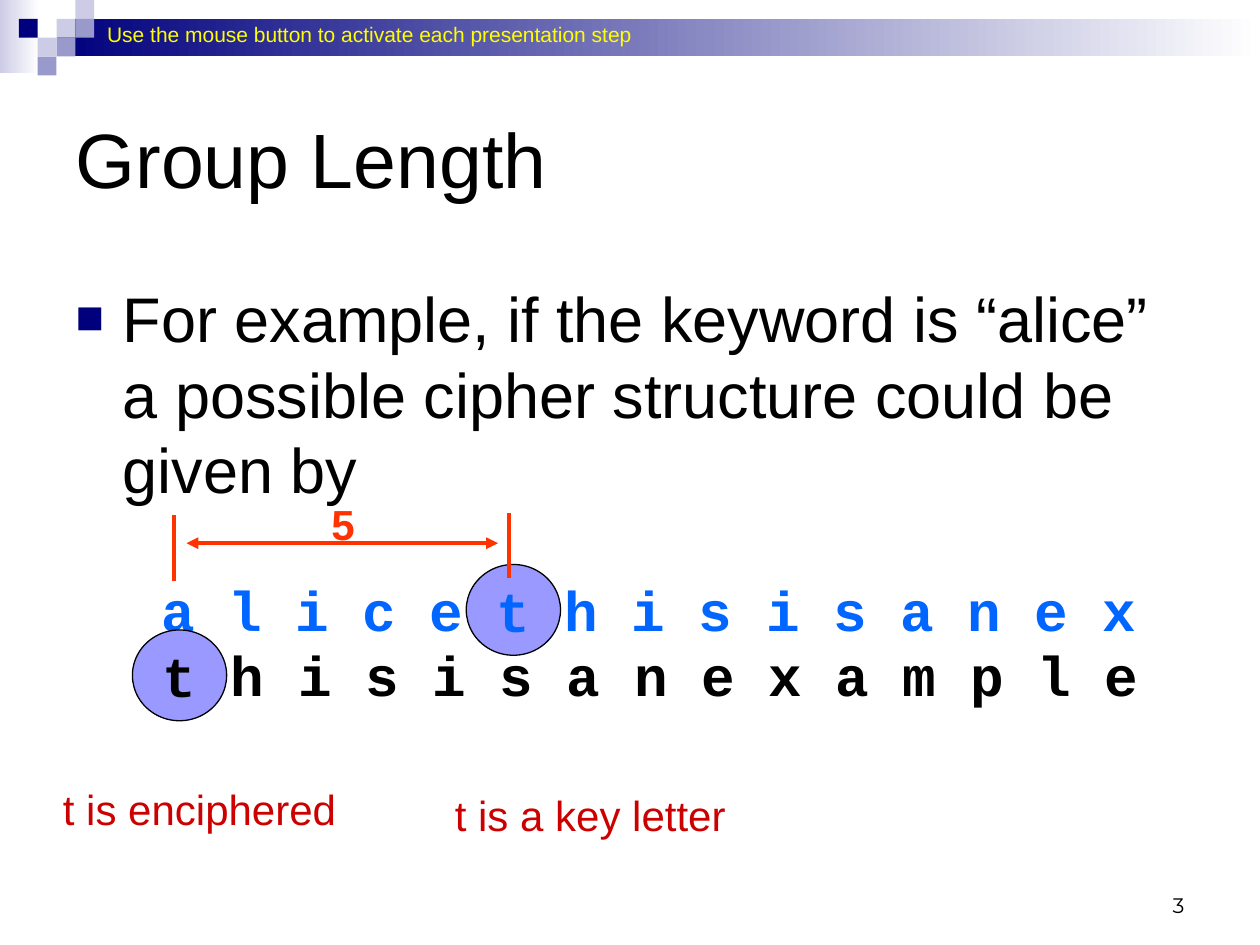
from lxml.etree import SubElement
from pptx import Presentation
from pptx.dml.color import RGBColor
from pptx.enum.shapes import MSO_CONNECTOR, MSO_SHAPE
from pptx.enum.text import MSO_ANCHOR as Anchor, MSO_AUTO_SIZE as AutoSize, PP_ALIGN as Align
from pptx.oxml.ns import qn
from pptx.util import Cm, Pt

NAVY, LILAC, LAVENDER, WHITE, BLACK = "00007D", "9999CC", "CCCCE6", "FFFFFF", "000000"
BLUE, RED, ORANGE, DISC = "0066FF", "CC0000", "FF3300", "9999FF"
CODE_FONT = "Courier New"


def color(hex_value):
    return RGBColor.from_string(hex_value)


def write(shape, text, size, hex_value, name="Arial", bold=False, align=Align.LEFT):
    para = shape.text_frame.paragraphs[0]
    para.text = text
    para.alignment = align
    para.space_before = Pt(0)
    font = para.font
    font.size, font.name, font.bold = Pt(size), name, bold
    font.color.rgb = color(hex_value)


def add_shape(page, kind, left, top, width, height, fill):
    shape = page.shapes.add_shape(kind, Cm(left), Cm(top), Cm(width), Cm(height))
    shape.shadow.inherit = False
    shape.line.fill.background()
    if isinstance(fill, str):
        shape.fill.solid()
        shape.fill.fore_color.rgb = color(fill)
    else:
        shape.fill.gradient()
        shape.fill.gradient_angle = 0
        for stop, hex_value in zip(shape.fill.gradient_stops, fill):
            stop.color.rgb = color(hex_value)
    return shape


def add_label(page, left, top, width, height, text, size, hex_value, **style):
    label = page.shapes.add_textbox(Cm(left), Cm(top), Cm(width), Cm(height))
    label.text_frame.word_wrap = False
    label.text_frame.auto_size = AutoSize.SHAPE_TO_FIT_TEXT
    write(label, text, size, hex_value, **style)


def add_line(page, x1, y1, x2, y2, arrows=False):
    line = page.shapes.add_connector(MSO_CONNECTOR.STRAIGHT, Cm(x1), Cm(y1), Cm(x2), Cm(y2))
    line.line.color.rgb = color(ORANGE)
    line.line.width = Pt(2.25)
    properties = line.element.spPr
    if arrows:
        for end in ("a:headEnd", "a:tailEnd"):
            SubElement(properties.find(qn("a:ln")), qn(end), type="triangle")
    SubElement(properties, qn("a:effectLst"))


def add_banner(page, left, top, width):
    cell = 0.38
    add_shape(page, MSO_SHAPE.RECTANGLE, left, top, 0.79, 1.47, (LAVENDER, WHITE))
    add_shape(page, MSO_SHAPE.RECTANGLE, left + 3 * cell, top + cell,
              width - 3 * cell, 2 * cell, (NAVY, WHITE))
    squares = [(3, 1, LAVENDER), (4, 0, LAVENDER), (4, 1, LILAC), (2, 2, LAVENDER),
               (1, 1, NAVY), (3, 2, LILAC), (2, 3, LILAC)]
    for column, row, fill in squares:
        add_shape(page, MSO_SHAPE.RECTANGLE, left + column * cell, top + row * cell,
                  cell, cell, fill)
    add_label(page, left + 1.91, top + 0.3, 11.1, 0.76,
              "Use the mouse button to activate each presentation step", 12, "FFFF00")


def place(holder, left, top, width, height):
    holder.left, holder.top = Cm(left), Cm(top)
    holder.width, holder.height = Cm(width), Cm(height)
    holder.text_frame.word_wrap = True
    holder.text_frame.auto_size = AutoSize.NONE


def fill_title(title, left, top, width, height):
    place(title, left, top, width, height)
    title.text_frame.vertical_anchor = Anchor.MIDDLE
    write(title, "Group Length", 44, BLACK)


def fill_body(body, left, top, width, height):
    place(body, left, top, width, height)
    properties = body.text_frame.paragraphs[0]._p.get_or_add_pPr()
    properties.set("marL", str(Cm(0.95)))
    properties.set("indent", str(Cm(-0.95)))
    SubElement(SubElement(properties, qn("a:buClr")), qn("a:srgbClr"), val=NAVY)
    SubElement(properties, qn("a:buSzPct"), val="75000")
    SubElement(properties, qn("a:buFont"), typeface="Arial")
    SubElement(properties, qn("a:buChar"), char="■")
    write(body, "For example, if the keyword is “alice” a possible cipher structure "
                "could be given by", 36, BLACK)


def add_letter_disc(page, left, top, hex_value):
    disc = add_shape(page, MSO_SHAPE.OVAL, left, top, 1.9, 1.83, DISC)
    disc.line.color.rgb = color(BLACK)
    disc.line.width = Pt(0.75)
    disc.text_frame.word_wrap = False
    disc.text_frame.vertical_anchor = Anchor.MIDDLE
    write(disc, "t", 32, hex_value, CODE_FONT, True, Align.CENTER)


def add_cipher(page, left, top):
    rows = [(0.38, 2.85, "t h i s i s a n e x a m p l e", BLACK),
            (0.33, 1.55, "a l i c e t h i s i s a n e x", BLUE)]
    for x, y, text, hex_value in rows:
        add_label(page, left + x, top + y, 20.17, 1.63, text, 32, hex_value,
                  name=CODE_FONT, bold=True)
    add_letter_disc(page, left, top + 2.77, BLACK)
    add_letter_disc(page, left + 6.73, top + 1.45, BLUE)
    add_label(page, left - 1.65, top + 5.74, 6.02, 1.27, "t is enciphered", 24, RED)
    add_label(page, left + 6.25, top + 5.87, 5.97, 1.27, "t is a key letter", 24, RED)


def add_measure(page, left, top, width):
    for x, y in ((left, top + 0.05), (left + width, top)):
        add_line(page, x, y, x, y + 1.32)
    add_line(page, left + 0.25, top + 0.61, left + width - 0.23, top + 0.61, arrows=True)
    add_label(page, left + 2.92, top - 0.41, 0.97, 1.27, "5", 24, ORANGE, bold=True)


def add_page_number(page, left, top, width, height):
    box = page.shapes.add_textbox(Cm(left), Cm(top), Cm(width), Cm(height))
    box.text_frame.word_wrap = True
    box.text_frame.vertical_anchor = Anchor.BOTTOM
    write(box, "3", 12, BLACK, "Montserrat", align=Align.RIGHT)


def main():
    deck = Presentation()
    deck.slide_width, deck.slide_height = Cm(25.4), Cm(19.05)
    page = deck.slides.add_slide(deck.slide_layouts[1])
    add_banner(page, 0, 0, 25.4)
    fill_title(page.shapes.title, 1.27, 1.27, 22.86, 3.81)
    fill_body(page.placeholders[1], 1.27, 5.51, 22.86, 10.8)
    add_cipher(page, 2.67, 9.93)
    add_measure(page, 3.51, 10.34, 6.76)
    add_page_number(page, 18.21, 17.35, 5.92, 1.27)
    deck.save("out.pptx")


if __name__ == "__main__":
    main()
